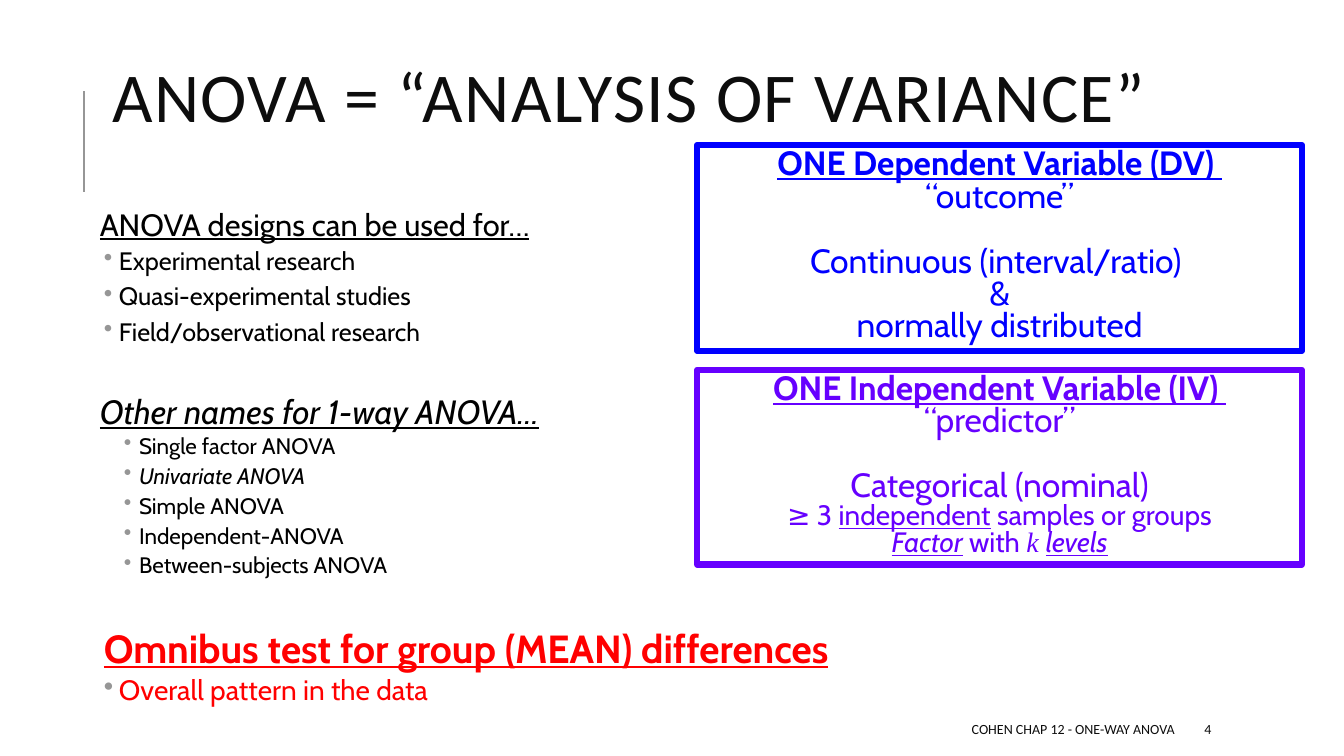
from dataclasses import dataclass

from lxml.etree import SubElement
from pptx import Presentation
from pptx.dml.color import RGBColor
from pptx.enum.shapes import MSO_CONNECTOR, MSO_SHAPE
from pptx.enum.text import MSO_ANCHOR, PP_ALIGN
from pptx.oxml.ns import qn
from pptx.util import Inches, Pt

# The slide is a grid of 80 columns by 45 rows of square cells
COLUMNS, ROWS = 80, 45
CELL = Inches(1 / 6)


@dataclass(frozen=True)
class Theme:
    heading_font: str = "Calibri"
    body_font: str = "Cabin"
    symbol_font: str = "Times New Roman"
    ink: str = "0D0D0D"
    black: str = "000000"
    white: str = "FFFFFF"
    gray: str = "969696"
    red: str = "FF0000"
    blue: str = "0000FF"
    violet: str = "6600FF"
    title_size: int = 50
    omnibus_size: int = 28
    large: int = 24
    heading_size: int = 22
    medium: int = 20
    item_size: int = 18
    small_item_size: int = 16
    footer_size: int = 10


THEME = Theme()
UNDERLINE = {"underline": True}
ITALIC = {"italic": True}
STRONG = {"bold": True, "underline": True}
TERM = {"italic": True, "underline": True}


def cells(*lengths):
    return [round(length * CELL) for length in lengths]


def apply(target, values):
    for name, value in values.items():
        setattr(target, name, value)


def write_runs(paragraph, runs, size, color, font=THEME.body_font):
    """Write (text, format) runs that share a size, color and font."""
    for text, style in runs:
        run = paragraph.add_run()
        run.text = text
        apply(run.font, {"name": font, "size": Pt(size), **style})
        run.font.color.rgb = RGBColor.from_string(color)


def format_paragraph(paragraph, **values):
    apply(paragraph, values)


def set_indent(paragraph, margin, bullet=False):
    """Set the left margin in inches, with a hanging gray bullet if asked."""
    properties = paragraph._p.get_or_add_pPr()
    properties.set("marL", str(Inches(margin)))
    properties.set("indent", str(Inches(-0.15 if bullet else 0)))
    if bullet:
        color = SubElement(properties, qn("a:buClr"))
        SubElement(color, qn("a:srgbClr"), val=THEME.gray)
        SubElement(properties, qn("a:buChar"), char="•")


def next_paragraph(frame):
    first = frame.paragraphs[0]
    return frame.add_paragraph() if first.runs else first


def add_text_box(slide, place, anchor=MSO_ANCHOR.MIDDLE):
    frame = slide.shapes.add_textbox(*cells(*place)).text_frame
    apply(frame, {"word_wrap": True, "vertical_anchor": anchor})
    return frame


def add_label(slide, place, text, size, alignment=PP_ALIGN.LEFT, line_spacing=1.0):
    paragraph = add_text_box(slide, place).paragraphs[0]
    format_paragraph(paragraph, alignment=alignment, line_spacing=line_spacing)
    write_runs(paragraph, [(text, {})], size, THEME.ink, THEME.heading_font)
    return paragraph


def add_rule(slide, column, top, bottom):
    line = slide.shapes.add_connector(
        MSO_CONNECTOR.STRAIGHT, *cells(column, bottom, column, top))
    line.line.color.rgb = RGBColor.from_string(THEME.gray)
    line.line.width = Pt(1.5)
    SubElement(line._element.spPr, qn("a:effectLst"))


def add_heading(frame, text, size, style, line_spacing, before,
                color=THEME.black, margin=0.1, after=2):
    paragraph = next_paragraph(frame)
    format_paragraph(paragraph, line_spacing=line_spacing,
                     space_before=Pt(before), space_after=Pt(after))
    set_indent(paragraph, margin)
    write_runs(paragraph, [(text, style)], size, color)


def add_bullets(frame, items, size, line_spacing, margin=0.29, color=THEME.black):
    for text, style in items:
        paragraph = next_paragraph(frame)
        format_paragraph(paragraph, line_spacing=line_spacing,
                         space_before=Pt(2), space_after=Pt(4))
        set_indent(paragraph, margin, bullet=True)
        write_runs(paragraph, [(text, style)], size, color)


def add_variable_box(slide, top, height, color, lines):
    """Draw an outlined box; each line is (size, space before, runs)."""
    box = slide.shapes.add_shape(MSO_SHAPE.RECTANGLE, *cells(41.5, top, 36, height))
    box.shadow.inherit = False
    box.fill.solid()
    box.fill.fore_color.rgb = RGBColor.from_string(THEME.white)
    box.line.color.rgb = RGBColor.from_string(color)
    box.line.width = Pt(4.5)
    frame = box.text_frame
    apply(frame, {"word_wrap": True, "vertical_anchor": MSO_ANCHOR.TOP})
    for size, before, runs in lines:
        paragraph = next_paragraph(frame)
        format_paragraph(paragraph, alignment=PP_ALIGN.CENTER, line_spacing=0.8,
                         space_before=Pt(before))
        write_runs(paragraph, runs, size, color)


def add_body(slide):
    frame = add_text_box(slide, (5.04, 12.18, 47.82, 31.14), MSO_ANCHOR.TOP)
    inset = Inches(0.05)
    apply(frame, {"margin_left": inset, "margin_right": inset,
                  "margin_top": inset, "margin_bottom": inset})

    add_heading(frame, "ANOVA designs can be used for…",
                THEME.heading_size, UNDERLINE, 0.9, 12)
    add_bullets(frame, [("Experimental research", {}),
                        ("Quasi-experimental studies", {}),
                        ("Field/observational research", {})],
                THEME.item_size, 0.9)

    add_heading(frame, "Other names for 1-way ANOVA…", THEME.large, TERM, 0.8, 33.3)
    add_bullets(frame, [("Single factor ANOVA", {}),
                        ("Univariate ANOVA", ITALIC),
                        ("Simple ANOVA", {}),
                        ("Independent-ANOVA", {}),
                        ("Between-subjects ANOVA", {})],
                THEME.small_item_size, 0.8, margin=0.49)

    add_heading(frame, "Omnibus test for group (MEAN) differences",
                THEME.omnibus_size, STRONG, 0.8, 35.3, THEME.red, 0.14, 4)
    add_bullets(frame, [("Overall pattern in the data", {})],
                THEME.medium, 0.8, color=THEME.red)


def main():
    presentation = Presentation()
    presentation.slide_width, presentation.slide_height = cells(COLUMNS, ROWS)
    slide = presentation.slides.add_slide(presentation.slide_layouts[6])

    # Title with its side rule
    add_rule(slide, 5, 5.4, 11.4)
    title = add_label(slide, (6.1, 1.2, 63.8, 9.84), "ANOVA = “ANALYSIS OF VARIANCE”",
                      THEME.title_size, line_spacing=0.8)
    title.runs[0].font._element.set("spc", "100")

    # Left-hand text
    add_body(slide)

    # Footer and slide number
    add_label(slide, (31.8, 42.48, 38.7, 1.8), "COHEN CHAP 12 - ONE-WAY ANOVA",
              THEME.footer_size, PP_ALIGN.RIGHT)
    add_label(slide, (71.1, 42.48, 6.36, 1.8), "4", THEME.footer_size)

    # Dependent and independent variables
    large, medium, gap = THEME.large, THEME.medium, 23.4
    add_variable_box(slide, 8.64, 12.24, THEME.blue, [
        (large, 0, [("ONE Dependent Variable (DV) ", STRONG)]),
        (large, 0, [("“outcome”", {})]),
        (large, gap, [("Continuous (interval/ratio) ", {})]),
        (large, 0, [("&", {})]),
        (large, 0, [("normally distributed", {})])])
    add_variable_box(slide, 22.02, 11.58, THEME.violet, [
        (large, 0, [("ONE Independent Variable (IV) ", STRONG)]),
        (large, 0, [("“predictor”", {})]),
        (large, gap, [("Categorical (nominal)", {})]),
        (medium, 0, [("≥ 3 ", {}), ("independent", UNDERLINE),
                     (" samples or groups", {})]),
        (medium, 0, [("Factor", TERM), (" with ", {}),
                     ("k ", {"name": THEME.symbol_font, **ITALIC}),
                     ("levels", TERM)])])

    presentation.save("out.pptx")


if __name__ == "__main__":
    main()
